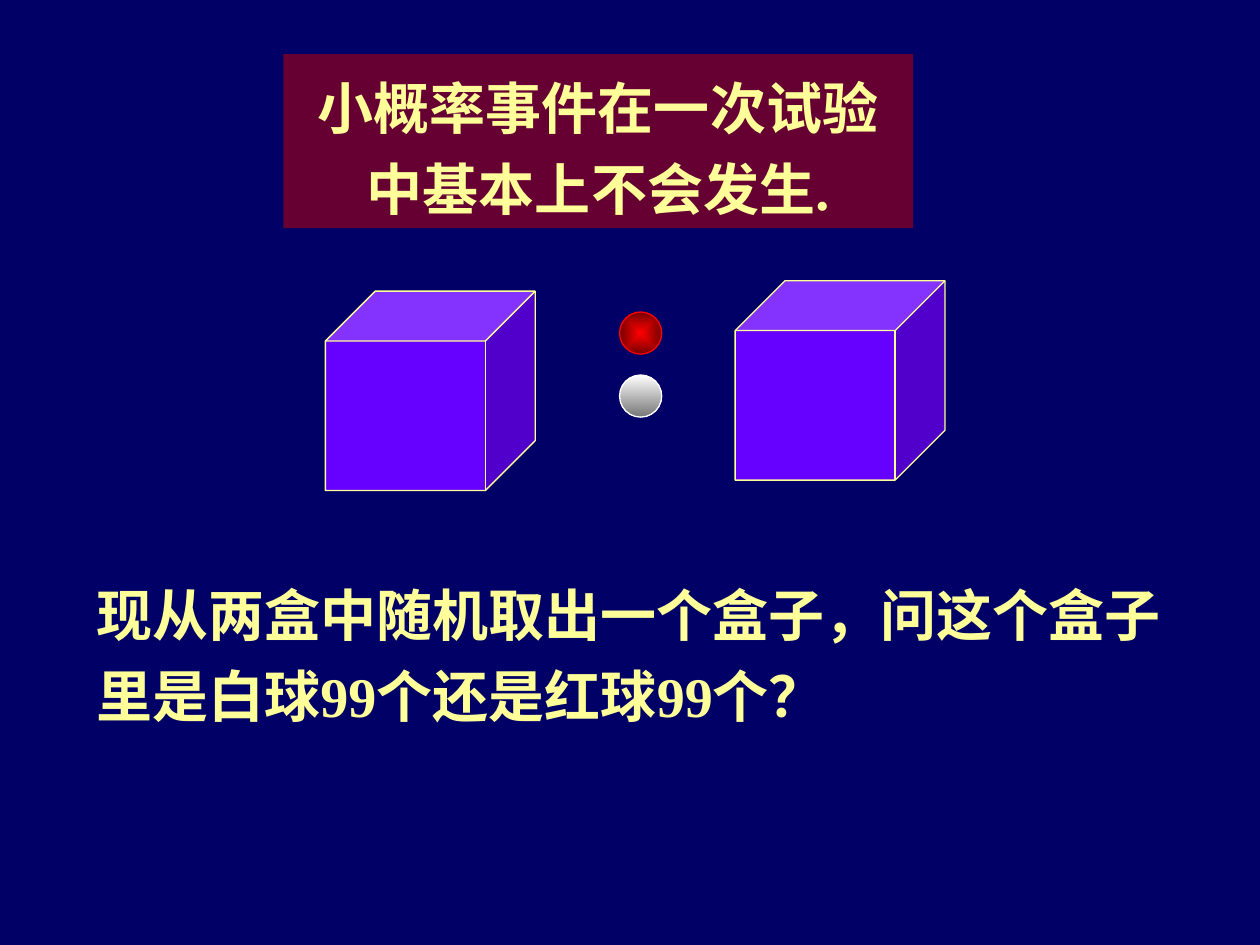
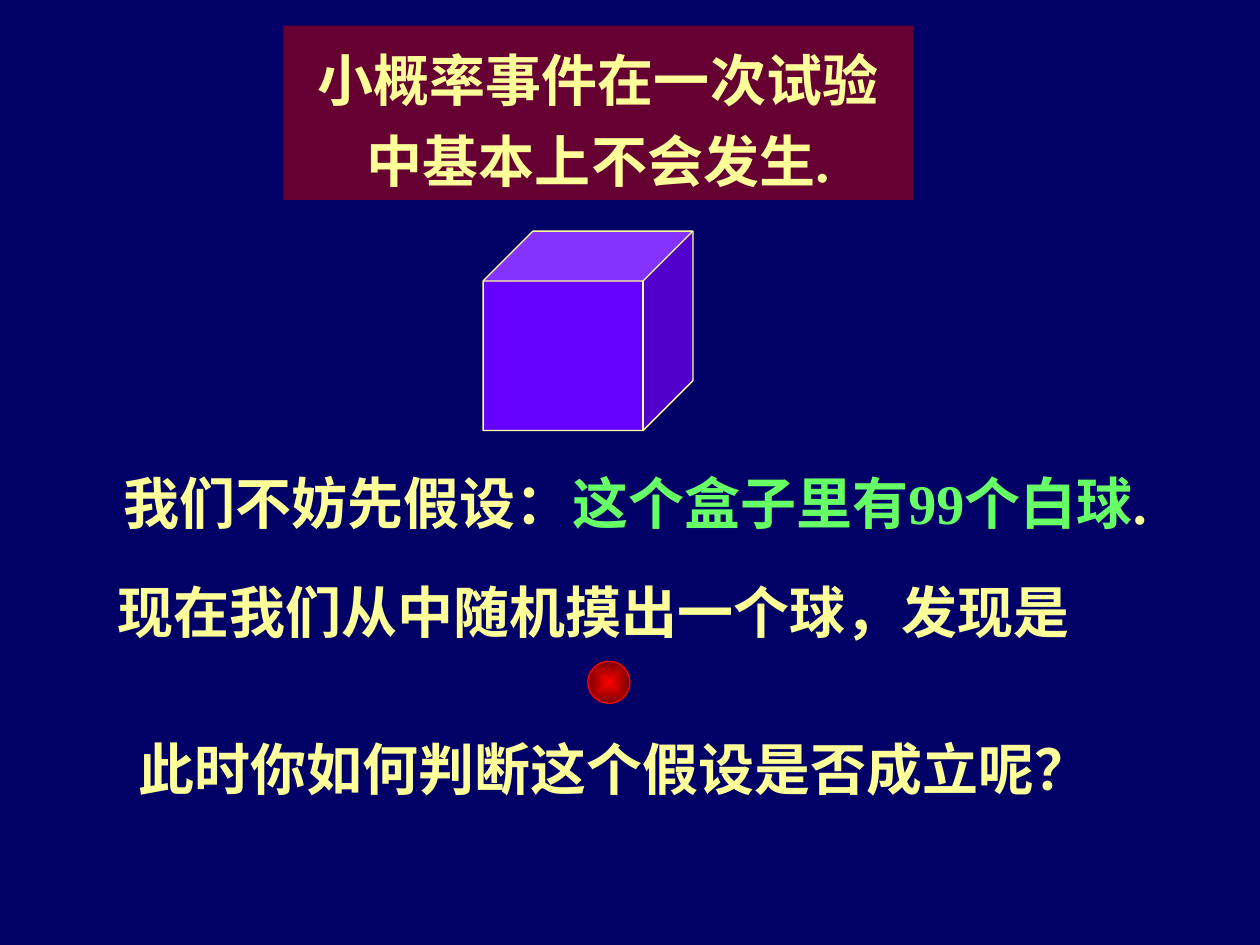
from lxml.etree import SubElement
from pptx import Presentation
from pptx.dml.color import RGBColor
from pptx.enum.shapes import MSO_SHAPE
from pptx.enum.text import MSO_ANCHOR, MSO_AUTO_SIZE, PP_ALIGN
from pptx.oxml.ns import qn
from pptx.util import Cm, Pt

NAVY = RGBColor(0x00, 0x00, 0x66)
MAROON = RGBColor(0x66, 0x00, 0x33)
VIOLET = RGBColor(0x66, 0x00, 0xFF)
CREAM = RGBColor(0xFF, 0xFF, 0x99)
GREEN = RGBColor(0x66, 0xFF, 0x66)
RED = RGBColor(0xFF, 0x00, 0x00)
DARK_RED = RGBColor(0x76, 0x00, 0x00)
WHITE = RGBColor(0xFF, 0xFF, 0xFF)
GREY = RGBColor(0x76, 0x76, 0x76)

FONT = {"name": "Times New Roman", "size": Pt(32), "bold": True}
PRINCIPLE = "小概率事件在一次试验中基本上不会发生."
BANNER_LEFT, BANNER_WIDTH, BANNER_HEIGHT = 5.71, 12.7, 3.51
CUBE_SIZE = (4.23, 4.02)
BALL_SIZE = (0.85, 0.85)
LINE_HEIGHT = 1.62

# Positions and sizes are in centimetres.
SLIDES = [
    {
        "banner_top": 1.09,
        "cubes": [(6.56, 5.87), (14.82, 5.66)],
        "red_balls": [(12.49, 6.29)],
        "white_balls": [(12.49, 7.56)],
        "paragraphs": [
            ((1.69, 11.3, 22.35, 3.51),
             [("现从两盒中随机取出一个盒子，问这个盒子里是白球99个还是红球99个？", CREAM)]),
        ],
        "single_lines": [],
    },
    {
        "banner_top": 0.52,
        "cubes": [(9.74, 4.66)],
        "red_balls": [(11.85, 13.33)],
        "white_balls": [],
        "paragraphs": [],
        "single_lines": [
            ((1.83, 9.32, 21.95, LINE_HEIGHT),
             [("我们不妨先假设：", CREAM), ("这个盒子里有99个白球", GREEN), (".", CREAM)]),
            ((2.07, 11.51, 19.8, LINE_HEIGHT),
             [("现在我们从中随机摸出一个球，发现是", CREAM)]),
            ((2.5, 14.68, 19.8, LINE_HEIGHT),
             [("此时你如何判断这个假设是否成立呢？", CREAM)]),
        ],
    },
]


def write(frame, runs, align, spacing, wrap=True):
    settings = {
        "word_wrap": wrap,
        "auto_size": MSO_AUTO_SIZE.SHAPE_TO_FIT_TEXT,
        "vertical_anchor": MSO_ANCHOR.MIDDLE,
        "margin_left": Cm(0.25), "margin_right": Cm(0.25),
        "margin_top": Cm(0.13), "margin_bottom": Cm(0.13),
    }
    for key, value in settings.items():
        setattr(frame, key, value)
    paragraph = frame.paragraphs[0]
    paragraph.alignment = align
    paragraph.line_spacing = spacing
    for words, color in runs:
        run = paragraph.add_run()
        run.text = words
        for key, value in FONT.items():
            setattr(run.font, key, value)
        run.font.color.rgb = color


def add_banner(slide, top):
    banner = slide.shapes.title
    banner.left, banner.top = Cm(BANNER_LEFT), Cm(top)
    banner.width, banner.height = Cm(BANNER_WIDTH), Cm(BANNER_HEIGHT)
    banner.fill.solid()
    banner.fill.fore_color.rgb = MAROON
    write(banner.text_frame, [(PRINCIPLE, CREAM)], PP_ALIGN.CENTER, 1.2)


def add_outlined(slide, kind, position, size, line_color):
    shape = slide.shapes.add_shape(kind, *map(Cm, position + size))
    shape.shadow.inherit = False
    shape.line.color.rgb = line_color
    shape.line.width = Pt(0.75)
    return shape


def add_cube(slide, position):
    cube = add_outlined(slide, MSO_SHAPE.CUBE, position, CUBE_SIZE, CREAM)
    cube.adjustments[0] = 0.25
    cube.fill.solid()
    cube.fill.fore_color.rgb = VIOLET


def add_ball(slide, position, light, dark):
    ball = add_outlined(slide, MSO_SHAPE.OVAL, position, BALL_SIZE, light)
    ball.fill.gradient()
    ball.fill.gradient_angle = 270
    for stop, color in zip(ball.fill.gradient_stops, (light, dark)):
        stop.color.rgb = color
    return ball


def shade_from_centre(ball):
    """Replace the linear gradient by one that spreads from the middle."""
    gradient = ball.fill._xPr.find(qn("a:gradFill"))
    gradient.remove(gradient.find(qn("a:lin")))
    spread = SubElement(gradient, qn("a:path"), {"path": "rect"})
    SubElement(spread, qn("a:fillToRect"), dict.fromkeys("ltrb", "50000"))


def add_text(slide, box, runs, **layout):
    textbox = slide.shapes.add_textbox(*map(Cm, box))
    write(textbox.text_frame, runs, **layout)


def build_slide(prs, content):
    slide = prs.slides.add_slide(prs.slide_layouts.get_by_name("Title Only"))
    add_banner(slide, content["banner_top"])
    for position in content["cubes"]:
        add_cube(slide, position)
    for position in content["red_balls"]:
        shade_from_centre(add_ball(slide, position, RED, DARK_RED))
    for position in content["white_balls"]:
        add_ball(slide, position, WHITE, GREY)
    for box, runs in content["paragraphs"]:
        add_text(slide, box, runs, align=PP_ALIGN.LEFT, spacing=1.2)
    for box, runs in content["single_lines"]:
        add_text(slide, box, runs, align=PP_ALIGN.CENTER, spacing=1.0, wrap=False)


def main():
    prs = Presentation()
    prs.slide_width, prs.slide_height = Cm(25.4), Cm(19.05)
    backdrop = prs.slide_master.background.fill
    backdrop.solid()
    backdrop.fore_color.rgb = NAVY
    for content in SLIDES:
        build_slide(prs, content)
    prs.save("out.pptx")


if __name__ == "__main__":
    main()
